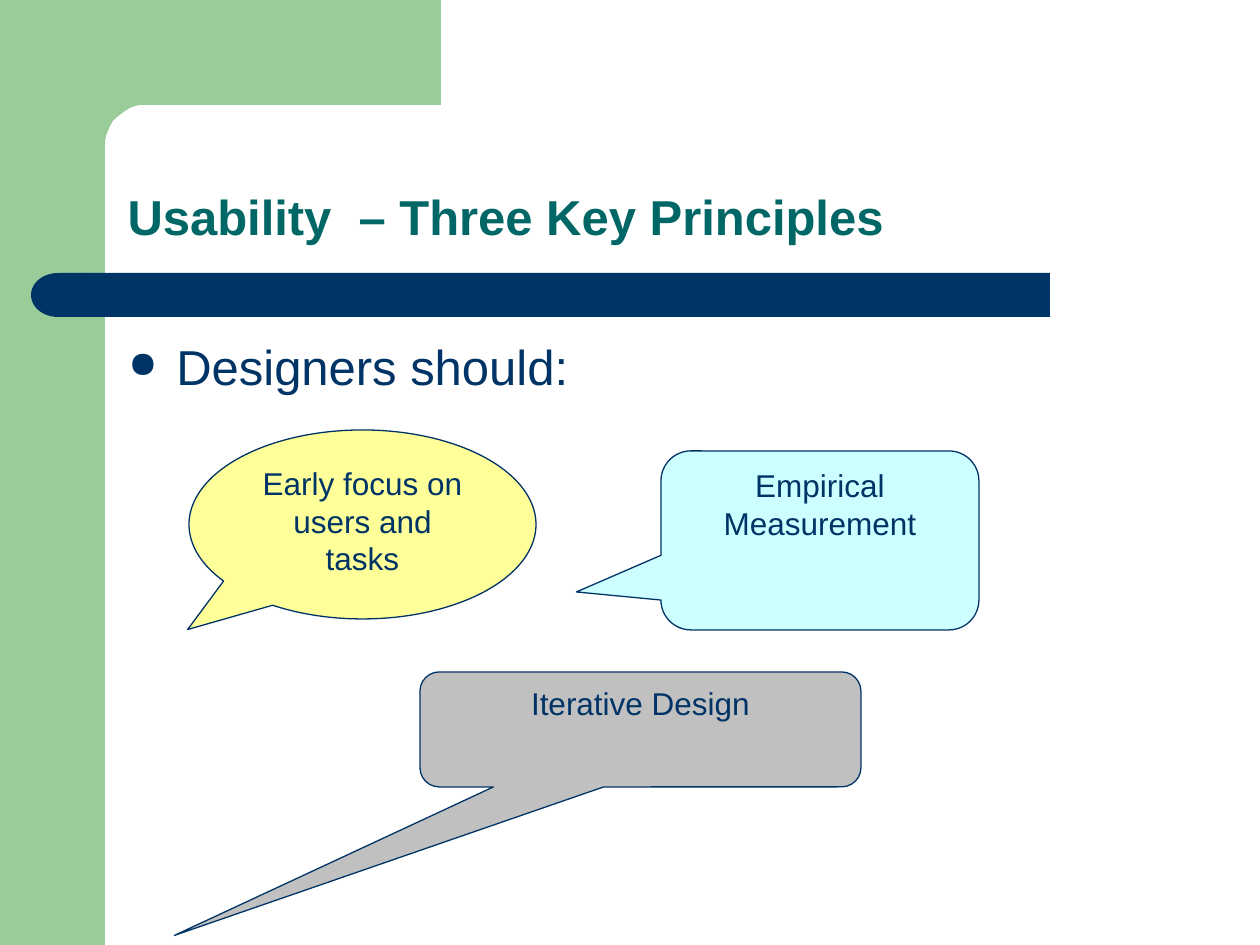
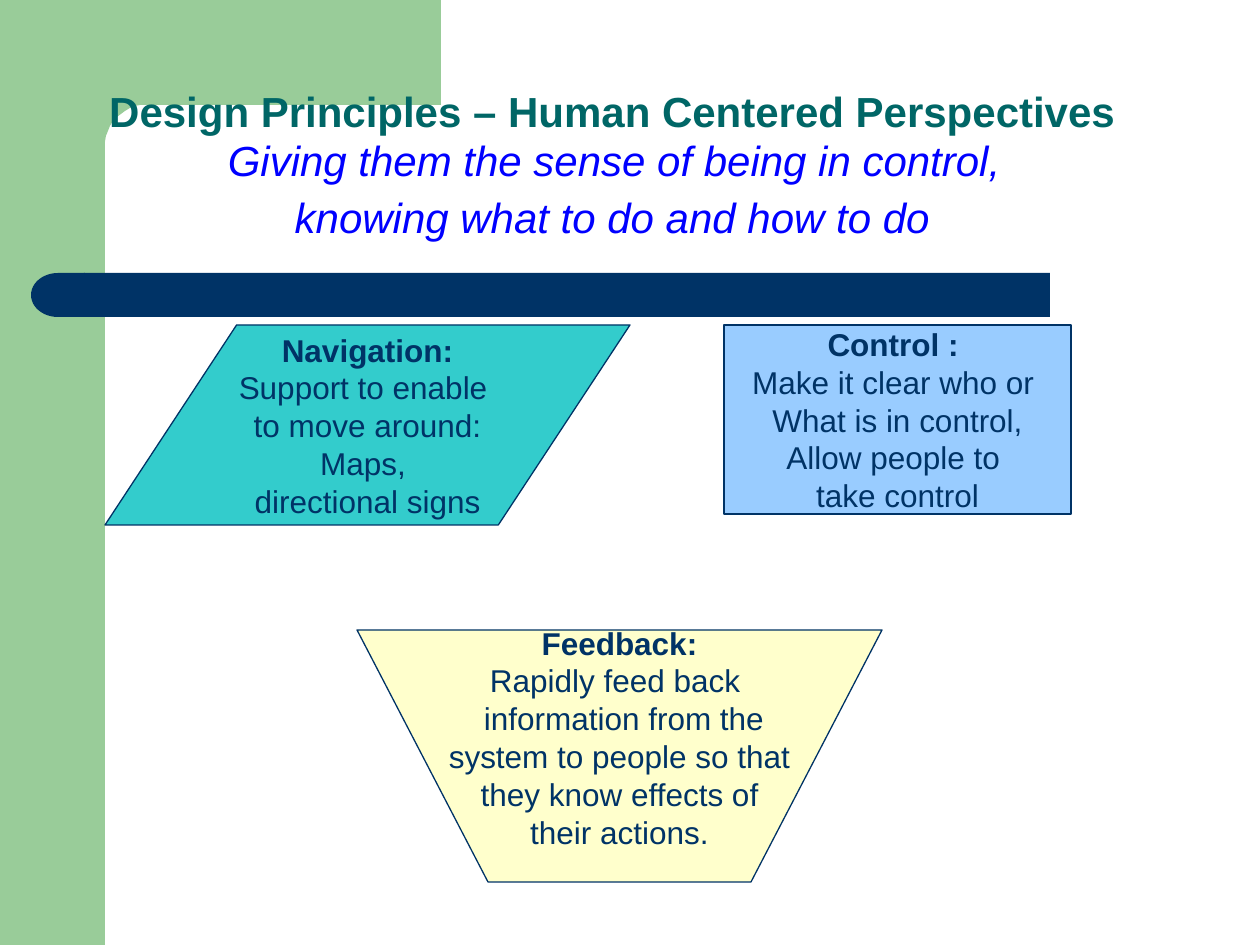
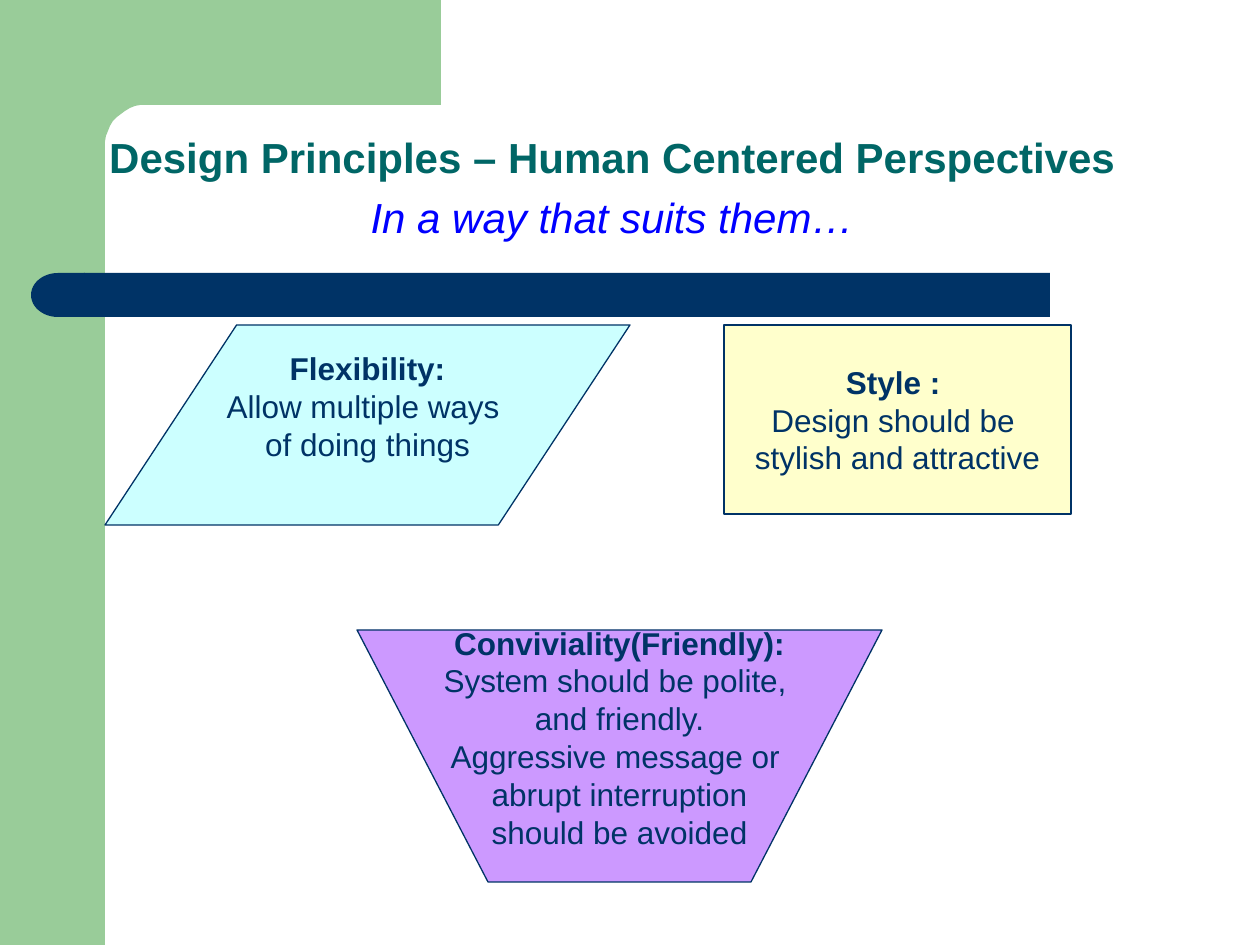
import copy
import math

import pptx
import pptx.dml.color
import pptx.enum.shapes
import pptx.enum.text
import pptx.oxml
import pptx.oxml.ns
import pptx.util

RGB = pptx.dml.color.RGBColor
KIND = pptx.enum.shapes.MSO_SHAPE
ANCHOR = pptx.enum.text.MSO_ANCHOR
ALIGN = pptx.enum.text.PP_ALIGN

PX = 7257  # EMU in one px, 126 px to the inch
NAVY = RGB(0x00, 0x33, 0x66)
TEAL = RGB(0x00, 0x66, 0x66)
BLUE = RGB(0x00, 0x00, 0xFF)
GREEN = RGB(0x99, 0xCC, 0x99)
YELLOW = RGB(0xFF, 0xFF, 0x99)
CREAM = RGB(0xFF, 0xFF, 0xCC)
PALE_CYAN = RGB(0xCC, 0xFF, 0xFF)
TURQUOISE = RGB(0x33, 0xCC, 0xCC)
SKY = RGB(0x99, 0xCC, 0xFF)
GREY = RGB(0xC0, 0xC0, 0xC0)
VIOLET = RGB(0xCC, 0x99, 0xFF)
LINE_HEIGHT = 38


def write(paragraph, text, size=18, color=NAVY, bold=False, italic=False):
    """Append text to a paragraph; each newline becomes a line break of the same format."""
    for i, line in enumerate(text.split("\n")):
        if i:
            paragraph.add_line_break()
            paragraph._p[-1].append(copy.deepcopy(run._r.rPr))
            if not line:
                continue
        run = paragraph.add_run()
        run.text = line
        run.font.name = "Arial"
        run.font.size = pptx.util.Pt(size)
        run.font.color.rgb = color
        run.font.bold = bold
        run.font.italic = italic


def paint(shape, fill, outline=None, adjustments=()):
    shape.shadow.inherit = False
    shape.fill.solid()
    shape.fill.fore_color.rgb = fill
    if outline is None:
        shape.line.fill.background()
    else:
        shape.line.color.rgb = outline
        shape.line.width = pptx.util.Pt(0.75)
    for i, value in enumerate(adjustments):
        shape.adjustments[i] = value


prs = pptx.Presentation()
prs.slide_width = pptx.util.Inches(10)
prs.slide_height = pptx.util.Inches(7.5)
title_only = prs.slide_layouts[5]

# Titles: left, width, alignment, then the runs
HEADING = ("Design Principles – Human Centered Perspectives", dict(size=24, color=TEAL, bold=True))
SUBHEADING = dict(size=24, color=BLUE, italic=True)
WIDE_SPACE = dict(size=32, color=TEAL, bold=True)
titles = [
    (115, 1072, ALIGN.LEFT,
     [("Usability  – Three Key Principles", dict(size=28, color=TEAL, bold=True))]),
    (10, 1220, ALIGN.CENTER,
     [HEADING, (" \n", WIDE_SPACE),
      ("Giving them the sense of being in control, \nknowing what to do and how to do", SUBHEADING),
      (" ", WIDE_SPACE)]),
    (10, 1220, ALIGN.CENTER,
     [HEADING, (" \n", WIDE_SPACE), ("In a way that suits them…", SUBHEADING), (" ", WIDE_SPACE)]),
]
slides = []
for left, width, alignment, runs in titles:
    slide = prs.slides.add_slide(title_only)
    slides.append(slide)
    title = slide.shapes.title
    title.left, title.top, title.width, title.height = (PX * v for v in (left, 115, width, 137))
    frame = title.text_frame
    frame.auto_size = pptx.enum.text.MSO_AUTO_SIZE.NONE
    frame.word_wrap = True
    frame.vertical_anchor = ANCHOR.BOTTOM
    paragraph = frame.paragraphs[0]
    paragraph.alignment = alignment
    paragraph.line_spacing = 0.9
    for text, style in runs:
        write(paragraph, text, **style)
principles, control, suiting = slides

# Shared artwork: drawn once, then moved to the back of the master
shapes = principles.shapes
side_band = shapes.add_shape(KIND.RECTANGLE, 0, 0, PX * 105, PX * 945)
paint(side_band, GREEN)
arc = [(145 - 40 * math.sin(a), 147 - 42 * math.cos(a))
       for a in (math.pi / 2 * step / 12 for step in range(13))]
outline = shapes.build_freeform(441, 0, scale=PX)
outline.add_line_segments([(441, 105)] + arc + [(105, 161), (63, 161), (63, 0)])
corner = outline.convert_to_shape()
paint(corner, GREEN)
bar = shapes.add_shape(KIND.ROUNDED_RECTANGLE, PX * 84, PX * 273, PX * 966, PX * 44)
paint(bar, NAVY, adjustments=[0])
bar_end = shapes.add_shape(KIND.FLOWCHART_DELAY, PX * 31, PX * 273, PX * 54, PX * 44)
bar_end.rotation = 180
paint(bar_end, NAVY)
master_tree = prs.slide_master.shapes._spTree
for position, artwork in enumerate((side_band, corner, bar, bar_end), start=2):
    master_tree.insert(position, artwork._element)

# Slide 1: lead-in bullet
lead_in = shapes.add_textbox(PX * 116, PX * 325, PX * 1060, PX * 84)
lead_in.text_frame.word_wrap = True
lead_in.text_frame.margin_top = PX * 12
paragraph = lead_in.text_frame.paragraphs[0]
properties = paragraph._p.get_or_add_pPr()
properties.set("marL", str(PX * 48))
properties.set("indent", str(-PX * 48))
for bullet in (f'<a:buClr %s><a:srgbClr val="{NAVY}"/></a:buClr>',
               '<a:buSzPct %s val="75000"/>', '<a:buChar %s char="●"/>'):
    properties.append(pptx.oxml.parse_xml(bullet % pptx.oxml.ns.nsdecls("a")))
write(paragraph, "Designers should:", size=28)

# Slide 1: callouts
callouts = [
    ("Early focus on users and tasks", KIND.OVAL_CALLOUT, (189, 430, 347, 189),
     YELLOW, (-0.504, 0.556)),
    ("Empirical Measurement", KIND.ROUNDED_RECTANGULAR_CALLOUT, (661, 451, 318, 179),
     PALE_CYAN, (-0.766, 0.288, 0.167)),
    ("Iterative Design", KIND.ROUNDED_RECTANGULAR_CALLOUT, (420, 672, 441, 115),
     GREY, (-1.057, 1.792, 0.167)),
]
for text, kind, place, fill, adjustments in callouts:
    callout = shapes.add_shape(kind, *(PX * v for v in place))
    paint(callout, fill, NAVY, adjustments)
    callout.text_frame.word_wrap = True
    callout.text_frame.vertical_anchor = ANCHOR.TOP
    paragraph = callout.text_frame.paragraphs[0]
    paragraph.alignment = ALIGN.CENTER
    write(paragraph, text)

# Slides 2 and 3: panels, each with its fill, lines of text and lines left free below
panels = [
    (control, "box", SKY, 0,
     ["Control : ", "Make it clear who or ", "What is in control,", "Allow people to ",
      "take control"]),
    (control, "slanted", TURQUOISE, 0,
     ["Navigation:", "Support to enable ", "to move around:", "Maps, ", "directional signs"]),
    (control, "funnel", CREAM, 1,
     ["Feedback:", "Rapidly feed back ", " information from the", "system to people so that",
      "they know effects of", "their actions."]),
    (suiting, "box", CREAM, 0, ["Style : ", "Design should be ", "stylish and attractive"]),
    (suiting, "slanted", PALE_CYAN, 1,
     ["Flexibility:", "Allow multiple ways ", "of doing things"]),
    (suiting, "funnel", VIOLET, 1,
     ["Conviviality(Friendly):", "System should be polite, ", "and friendly.",
      "Aggressive message or ", "abrupt interruption", "should be avoided"]),
]
for slide, form, fill, free_lines, lines in panels:
    adjustments = ()
    if form == "box":
        panel = slide.shapes.add_shape(KIND.RECTANGLE, PX * 724, PX * 325, PX * 347, PX * 189)
    elif form == "slanted":
        panel = slide.shapes.add_shape(KIND.PARALLELOGRAM, PX * 105, PX * 325, PX * 525, PX * 200)
        adjustments = (0.658,)
    else:
        outline = slide.shapes.build_freeform(357, 630, scale=PX)
        outline.add_line_segments([(488, 882), (751, 882), (882, 630)])
        panel = outline.convert_to_shape()
    paint(panel, fill, NAVY, adjustments)
    frame = panel.text_frame
    frame.word_wrap = False
    frame.vertical_anchor = ANCHOR.MIDDLE
    frame.margin_bottom = PX * (6 + LINE_HEIGHT * free_lines)
    for i, line in enumerate(lines):
        paragraph = frame.add_paragraph() if i else frame.paragraphs[0]
        paragraph.alignment = ALIGN.CENTER
        write(paragraph, line, bold=i == 0)

prs.save("out.pptx")
